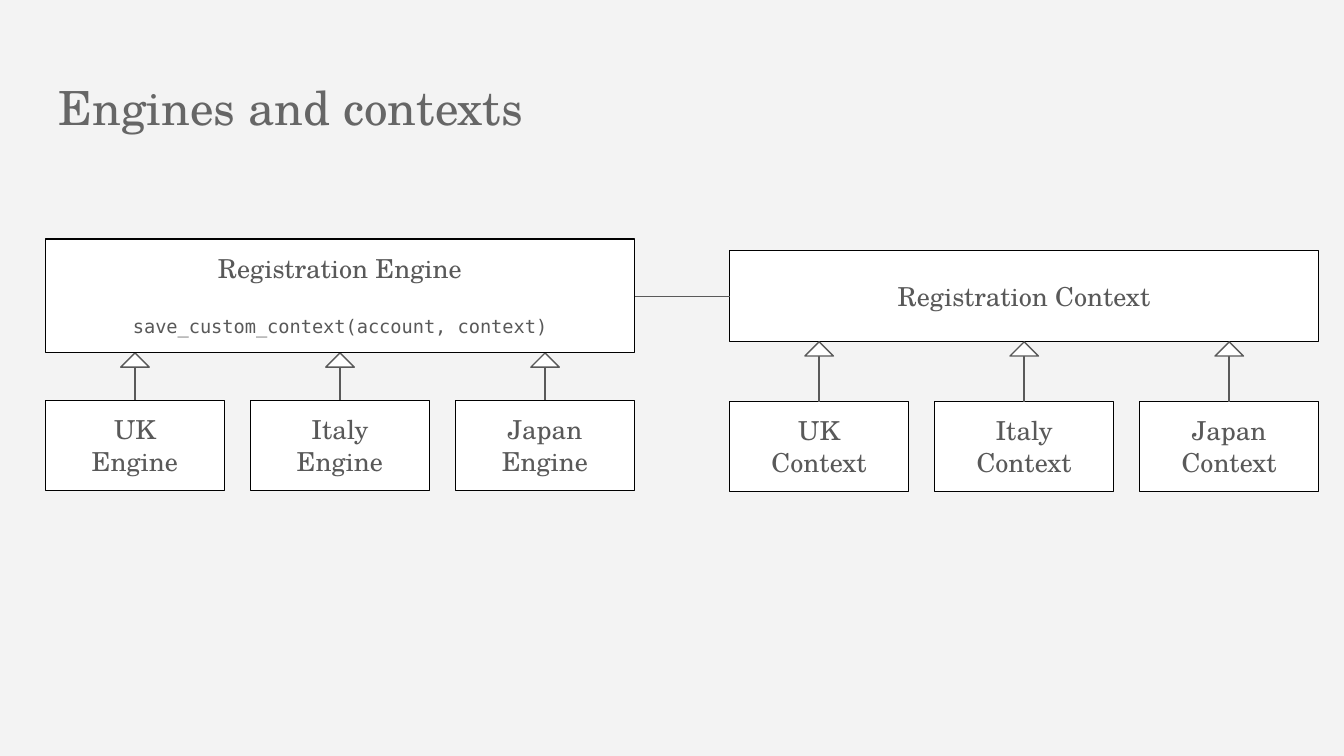
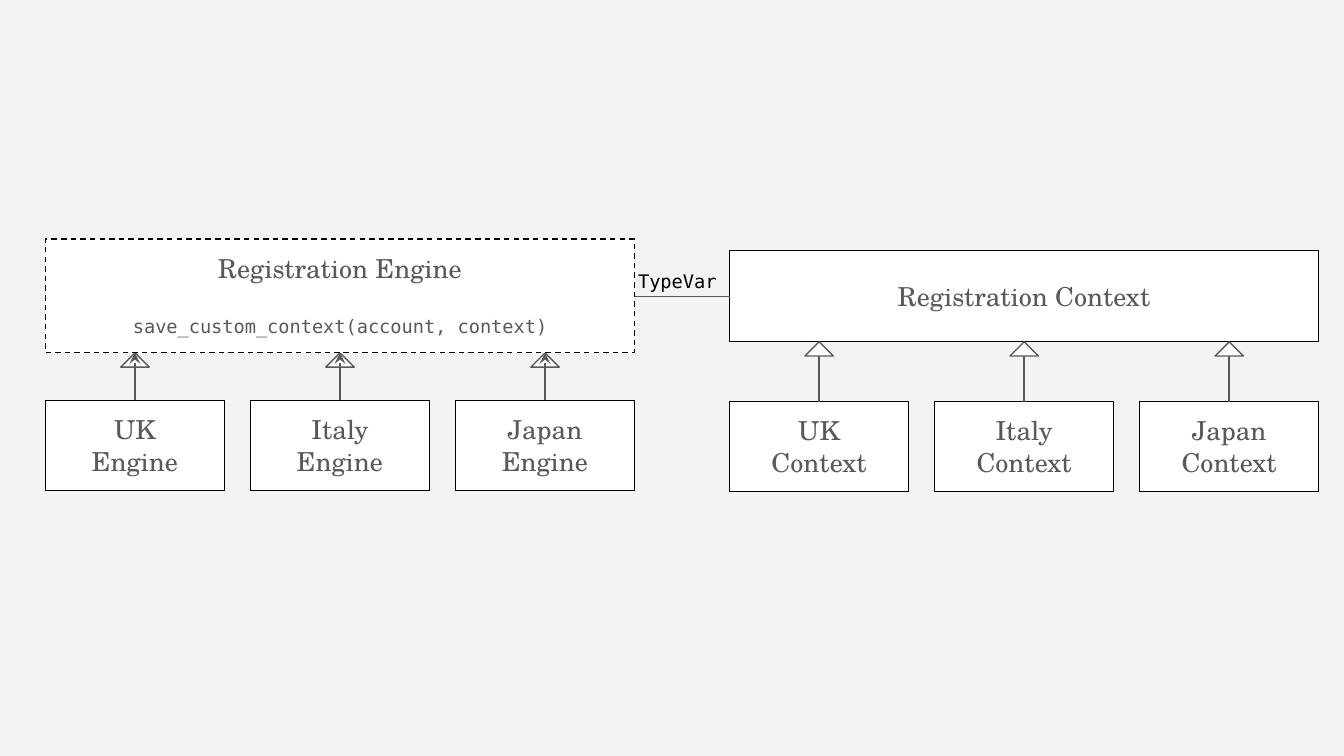
from copy import deepcopy
from dataclasses import dataclass

from lxml import etree
from pptx import Presentation
from pptx.dml.color import RGBColor
from pptx.enum.dml import MSO_LINE
from pptx.enum.shapes import MSO_CONNECTOR, MSO_SHAPE
from pptx.enum.text import MSO_ANCHOR, MSO_AUTO_SIZE, PP_ALIGN
from pptx.oxml.ns import qn
from pptx.util import Cm, Pt

RECTANGLE, TRIANGLE = MSO_SHAPE.RECTANGLE, MSO_SHAPE.RIGHT_TRIANGLE
STRAIGHT, DASH = MSO_CONNECTOR.STRAIGHT, MSO_LINE.DASH
LEFT, CENTER = PP_ALIGN.LEFT, PP_ALIGN.CENTER
TOP, MIDDLE = MSO_ANCHOR.TOP, MSO_ANCHOR.MIDDLE
FIXED, GROW = MSO_AUTO_SIZE.NONE, MSO_AUTO_SIZE.SHAPE_TO_FIT_TEXT
TITLE_ONLY, BLANK = 5, 6


@dataclass(frozen=True)
class Theme:
    paper: RGBColor = RGBColor(0xF3, 0xF3, 0xF3)
    white: RGBColor = RGBColor(0xFF, 0xFF, 0xFF)
    black: RGBColor = RGBColor(0x00, 0x00, 0x00)
    ink: RGBColor = RGBColor(0x59, 0x59, 0x59)
    heading: RGBColor = RGBColor(0x66, 0x66, 0x66)
    serif: str = "TeX Gyre Schola"
    mono: str = "DejaVu Sans Mono"
    title_size: Pt = Pt(25.2)
    label_size: Pt = Pt(14)
    code_size: Pt = Pt(10)
    line_width: Pt = Pt(0.75)
    code_gap: Pt = Pt(16.8)
    inset: Cm = Cm(0.25)


THEME = Theme()
TITLE = {"name": THEME.serif, "size": THEME.title_size, "color": THEME.heading}
LABEL = {"name": THEME.serif, "size": THEME.label_size, "color": THEME.ink}
CODE = {"name": THEME.mono, "size": THEME.code_size, "color": THEME.ink}
NOTE = {**CODE, "color": THEME.black}

COUNTRIES = ("UK", "Italy", "Japan")


@dataclass(frozen=True)
class Family:
    """A parent class box and its row of country subclasses, in cm."""
    kind: str
    left: float
    top: float
    height: float
    child_top: float
    width: float = 11.13
    child_width: float = 3.38
    child_height: float = 1.7

    @property
    def bottom(self):
        return self.top + self.height

    @property
    def right(self):
        return self.left + self.width

    def child_left(self, index):
        pitch = (self.width - self.child_width) / (len(COUNTRIES) - 1)
        return self.left + index * pitch

    def child_center(self, index):
        return self.child_left(index) + self.child_width / 2


ENGINE = Family("Engine", left=0.86, top=4.52, height=2.15, child_top=7.57)
CONTEXT = Family("Context", left=13.79, top=4.74, height=1.72, child_top=7.59)
LINK_Y = 5.6
ARROW_SIDE = 0.38
ARROW_HEIGHT = 0.27


# Text
def set_frame(box, anchor=TOP, fit=GROW):
    frame = box.text_frame
    values = {"word_wrap": True, "auto_size": fit, "vertical_anchor": anchor}
    for side in ("left", "right", "top", "bottom"):
        values[f"margin_{side}"] = THEME.inset
    for name, value in values.items():
        setattr(frame, name, value)
    return frame


def write(para, text, style, align=CENTER):
    para.text = text
    para.alignment = align
    for span in para.runs:
        for name, value in style.items():
            if name == "color":
                span.font.color.rgb = value
            else:
                setattr(span.font, name, value)
    # Line breaks take the type size of the runs around them
    for line_break in para._p.findall(qn("a:br")):
        line_break.append(deepcopy(para.runs[0].font._element))


# Shapes and lines
def add_outline(shapes, kind, left, top, width, height, color):
    shape = shapes.add_shape(kind, Cm(left), Cm(top), Cm(width), Cm(height))
    shape.shadow.inherit = False
    shape.fill.solid()
    shape.fill.fore_color.rgb = THEME.white
    shape.line.color.rgb = color
    shape.line.width = THEME.line_width
    return shape


def add_class_box(shapes, text, left, top, width, height, **frame_values):
    box = add_outline(shapes, RECTANGLE, left, top, width, height, THEME.black)
    write(set_frame(box, **frame_values).paragraphs[0], text, LABEL)
    return box


def add_line(shapes, x1, y1, x2, y2):
    line = shapes.add_connector(STRAIGHT, Cm(x1), Cm(y1), Cm(x2), Cm(y2))
    line.line.color.rgb = THEME.ink
    line.line.width = THEME.line_width
    etree.SubElement(line._element.spPr, qn("a:effectLst"))
    return line


def add_inheritance_arrow(shapes, x, tip, end):
    middle = tip + ARROW_HEIGHT
    add_line(shapes, x, middle, x, end)
    head = add_outline(shapes, TRIANGLE, x - ARROW_SIDE / 2, middle - ARROW_SIDE / 2,
                       ARROW_SIDE, ARROW_SIDE, THEME.ink)
    head.rotation = 135


# Diagram parts
def add_children(page, family):
    shapes = page.shapes.add_group_shape().shapes
    for index, country in enumerate(COUNTRIES):
        add_class_box(shapes, f"{country}\v{family.kind}", family.child_left(index),
                      family.child_top, family.child_width, family.child_height)
        add_inheritance_arrow(shapes, family.child_center(index),
                              family.bottom, family.child_top)


def add_parent(page, family, **frame_values):
    return add_class_box(page.shapes, f"Registration {family.kind}", family.left,
                         family.top, family.width, family.height, **frame_values)


def add_diagram(page):
    add_children(page, ENGINE)
    add_parent(page, CONTEXT, anchor=MIDDLE, fit=FIXED)
    add_line(page.shapes, ENGINE.right, LINK_Y, CONTEXT.left, LINK_Y)
    add_children(page, CONTEXT)
    engine_box = add_parent(page, ENGINE)
    method = engine_box.text_frame.add_paragraph()
    method.space_before = THEME.code_gap
    write(method, "save_custom_context(account, context)", CODE)
    return engine_box


def add_title(page, text):
    title = page.shapes.title
    places = {"left": 0.86, "top": 1.24, "width": 23.67, "height": 1.6}
    for name, value in places.items():
        setattr(title, name, Cm(value))
    write(set_frame(title, fit=FIXED).paragraphs[0], text, TITLE, LEFT)


def add_type_note(page, text):
    note = page.shapes.add_textbox(Cm(11.81), Cm(4.88), Cm(2.57), Cm(0.93))
    write(set_frame(note).paragraphs[0], text, NOTE, LEFT)


def add_dashed_arrows(page, family):
    shapes = page.shapes.add_group_shape().shapes
    for index in range(len(COUNTRIES)):
        x = family.child_center(index)
        arrow = add_line(shapes, x, family.bottom, x, family.child_top)
        arrow.line.dash_style = DASH
        etree.SubElement(arrow.line._get_or_add_ln(), qn("a:headEnd"), type="stealth")


def main():
    deck = Presentation()
    deck.slide_width, deck.slide_height = Cm(25.4), Cm(14.29)
    background = deck.slide_master.background.fill
    background.solid()
    background.fore_color.rgb = THEME.paper

    # Engines and contexts
    page = deck.slides.add_slide(deck.slide_layouts[TITLE_ONLY])
    add_title(page, "Engines and contexts")
    add_diagram(page)

    # Generic engine, tied to its context by a type variable
    page = deck.slides.add_slide(deck.slide_layouts[BLANK])
    engine_box = add_diagram(page)
    engine_box.line.dash_style = DASH
    add_type_note(page, "TypeVar")
    add_dashed_arrows(page, ENGINE)

    deck.save("out.pptx")


if __name__ == "__main__":
    main()
